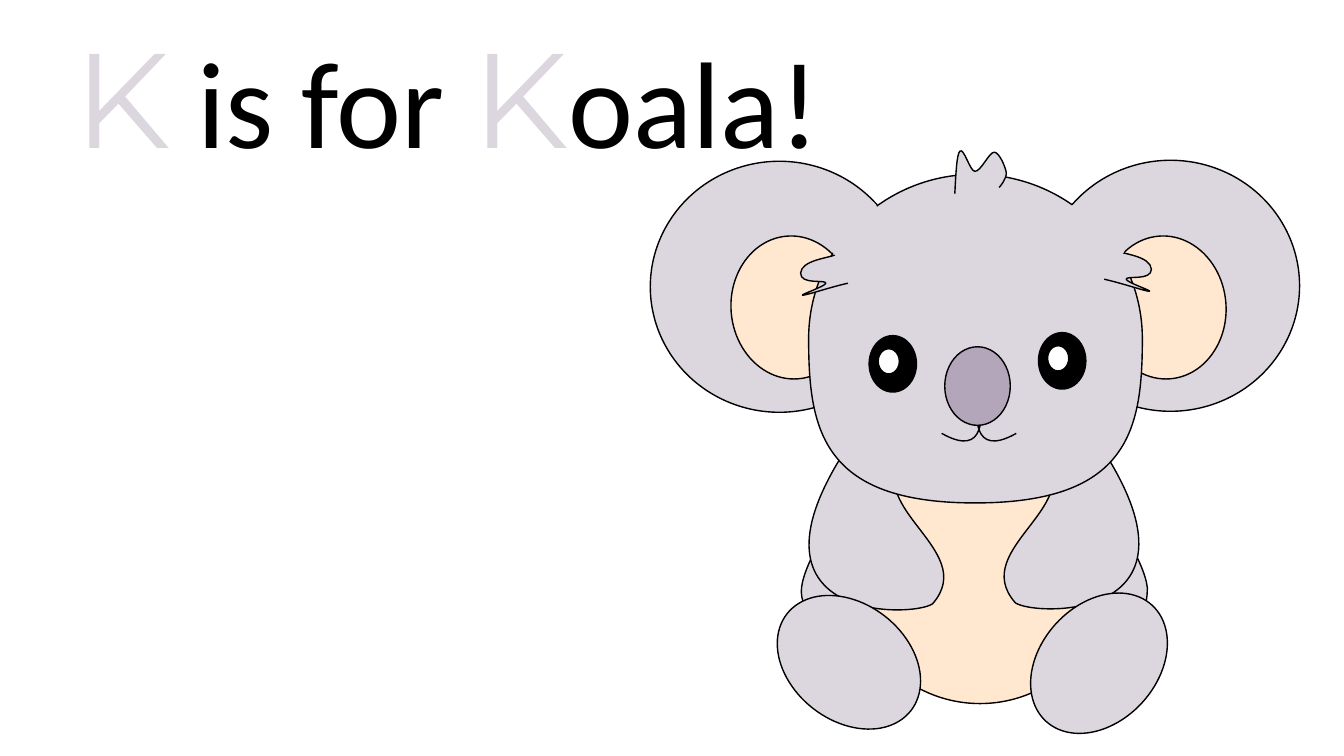
from dataclasses import dataclass
from math import cos, radians, sin

from lxml.etree import SubElement
from pptx import Presentation
from pptx.dml.color import RGBColor
from pptx.enum.shapes import MSO_SHAPE
from pptx.enum.text import MSO_ANCHOR, MSO_AUTO_SIZE, PP_ALIGN
from pptx.oxml.ns import qn
from pptx.util import Emu, Pt

EMU_PER_PX = 9144


@dataclass(frozen=True)
class Theme:
    fur: str = "DCD6DF"
    cream: str = "FFE7D0"
    nose: str = "B3A6BA"
    black: str = "000000"
    white: str = "FFFFFF"
    initial_font: str = "Montserrat"
    word_font: str = "Calibri"
    initial_size: int = 96
    word_size: int = 88
    outline: int = 1


THEME = Theme()

BODY = [
    [(795, 583)],
    [(801, 533), (908, 395), (965, 395)],
    [(1022, 395), (1132, 532), (1138, 583)],
    [(1138, 664), (1026, 693), (968, 693)],
    [(911, 693), (789, 633), (795, 583)],
]
HEAD = [
    [(802, 336)],
    [(802, 246), (876, 173), (967, 173)],
    [(1059, 173), (1133, 246), (1133, 336)],
    [(1133, 426), (1120, 499), (967, 499)],
    [(815, 499), (802, 426), (802, 336)],
]
LEFT_ARM = [
    [(852, 427)],
    [(901, 444)],
    [(846, 502), (973, 544), (925, 599)],
    [(906, 613), (714, 619), (852, 427)],
]
RIGHT_SMILE = [
    [(968, 401)],
    [(970, 407), (962, 456), (1008, 430)],
]
HAIR = [
    [(947, 192)],
    [(948, 172), (949, 153), (952, 150)],
    [(956, 146), (962, 170), (967, 170)],
    [(973, 170), (981, 151), (986, 151)],
    [(991, 151), (997, 165), (998, 171)],
    [(999, 177), (991, 186), (991, 186)],
    [(991, 186)],
]
LEFT_TUFT = [
    [(841, 281)],
    [(823, 285), (800, 293), (796, 293)],
    [(792, 293), (819, 284), (819, 281)],
    [(819, 277), (794, 283), (794, 271)],
    [(795, 258), (822, 256), (828, 253)],
    [(828, 253)],
]


def px(length):
    return Emu(round(length * EMU_PER_PX))


def mirror(outline, edge_sum, rise=0):
    return [[(edge_sum - x, y - rise) for x, y in segment] for segment in outline]


def to_frame(point, frame, rotation):
    left, top, width, height = frame
    across, down = point[0] - left - width / 2, point[1] - top - height / 2
    turn = radians(rotation)
    return (px(across * cos(turn) + down * sin(turn) + width / 2),
            px(down * cos(turn) - across * sin(turn) + height / 2))


def paint(shape, fill, outlined=True):
    shape.shadow.inherit = False
    if fill:
        shape.fill.solid()
        shape.fill.fore_color.rgb = RGBColor.from_string(fill)
    else:
        shape.fill.background()
    if outlined:
        shape.line.color.rgb = RGBColor.from_string(THEME.black)
        shape.line.width = Pt(THEME.outline)
    else:
        shape.line.fill.background()


def add_oval(koala, left, top, width, height, fill, rotation=0, outlined=True):
    oval = koala.shapes.add_shape(
        MSO_SHAPE.OVAL, px(left), px(top), px(width), px(height))
    oval.rotation = rotation
    paint(oval, fill, outlined)


def bend(shape, segments, closed):
    trail = shape._element.xpath(".//a:path")[0]
    trail.set("w", str(shape.width))
    trail.set("h", str(shape.height))
    for step in list(trail):
        trail.remove(step)
    for index, segment in enumerate(segments):
        tag = "a:moveTo" if index == 0 else "a:lnTo" if len(segment) == 1 else "a:cubicBezTo"
        step = SubElement(trail, qn(tag))
        for x, y in segment:
            SubElement(step, qn("a:pt"), x=str(int(x)), y=str(int(y)))
    if closed:
        SubElement(trail, qn("a:close"))


def add_outline(koala, outline, frame, fill=None, rotation=0, closed=False):
    segments = [[to_frame(point, frame, rotation) for point in segment]
                for segment in outline]
    ends = [segment[-1] for segment in segments]
    builder = koala.shapes.build_freeform(*ends[0], scale=1.0)
    builder.add_line_segments(ends[1:], close=closed)
    shape = builder.convert_to_shape()
    shape.left, shape.top, shape.width, shape.height = map(px, frame)
    shape.rotation = rotation
    bend(shape, segments, closed)
    paint(shape, fill)


def add_eye(koala, left, top):
    add_oval(koala, left, top, 47, 56, THEME.black)
    add_oval(koala, left + 9, top + 13, 21, 25, THEME.white)


def add_title(page):
    title = page.shapes.title
    title.left, title.top, title.width, title.height = px(-24), px(9), px(962), px(172)
    frame = title.text_frame
    frame.word_wrap = True
    frame.auto_size = MSO_AUTO_SIZE.SHAPE_TO_FIT_TEXT
    frame.vertical_anchor = MSO_ANCHOR.TOP
    para = frame.paragraphs[0]
    para.alignment = PP_ALIGN.CENTER
    initial = (THEME.initial_font, THEME.initial_size, THEME.fur)
    word = (THEME.word_font, THEME.word_size, THEME.black)
    for text, (font, size, color) in (
        ("K", initial), (" is for ", word), ("K", initial), ("oala! ", word),
    ):
        span = para.add_run()
        span.text = text
        span.font.name = font
        span.font.size = Pt(size)
        span.font.color.rgb = RGBColor.from_string(color)


def add_koala(page):
    koala = page.shapes.add_group_shape()
    add_oval(koala, 645, 160, 256, 249, THEME.fur)
    add_oval(koala, 1033, 159, 256, 249, THEME.fur)
    for inner_ear_left in (1084, 715):
        add_oval(koala, inner_ear_left, 244, 142, 122, THEME.cream, 85.5)

    add_outline(koala, BODY, (795, 395, 343, 297), THEME.fur, closed=True)
    add_oval(koala, 844, 444, 256, 254, THEME.cream)
    add_outline(koala, LEFT_ARM, (807, 437, 142, 167), THEME.fur, 15.3, closed=True)
    add_outline(koala, mirror(LEFT_ARM, 1932, 1), (983, 436, 142, 167),
                THEME.fur, 344.7, closed=True)

    add_outline(koala, HEAD, (802, 173, 332, 326), THEME.fur, closed=True)
    add_outline(koala, RIGHT_SMILE, (968, 401, 40, 36))
    add_eye(koala, 1030, 330)
    add_eye(koala, 862, 333)
    add_outline(koala, HAIR, (947, 149, 51, 42), THEME.fur)
    add_outline(koala, mirror(LEFT_TUFT, 1936, 4), (1107, 245, 31, 47), THEME.fur, 287)

    add_oval(koala, 784, 579, 116, 156, THEME.fur, 308)
    add_oval(koala, 1032, 580, 116, 156, THEME.fur, 42.4)
    add_outline(koala, mirror(RIGHT_SMILE, 1942), (934, 401, 40, 36))
    add_oval(koala, 937, 344, 65, 78, THEME.nose)
    add_outline(koala, LEFT_TUFT, (799, 249, 31, 47), THEME.fur, 73)

    add_oval(koala, 831, 194, 32, 65, THEME.fur, 37.4, outlined=False)
    add_oval(koala, 1072, 193, 32, 70, THEME.fur, 311.3, outlined=False)


def main():
    deck = Presentation()
    deck.slide_width, deck.slide_height = px(1333), px(750)
    page = deck.slides.add_slide(deck.slide_layouts.get_by_name("Title Only"))
    add_title(page)
    add_koala(page)
    deck.save("out.pptx")


if __name__ == "__main__":
    main()
